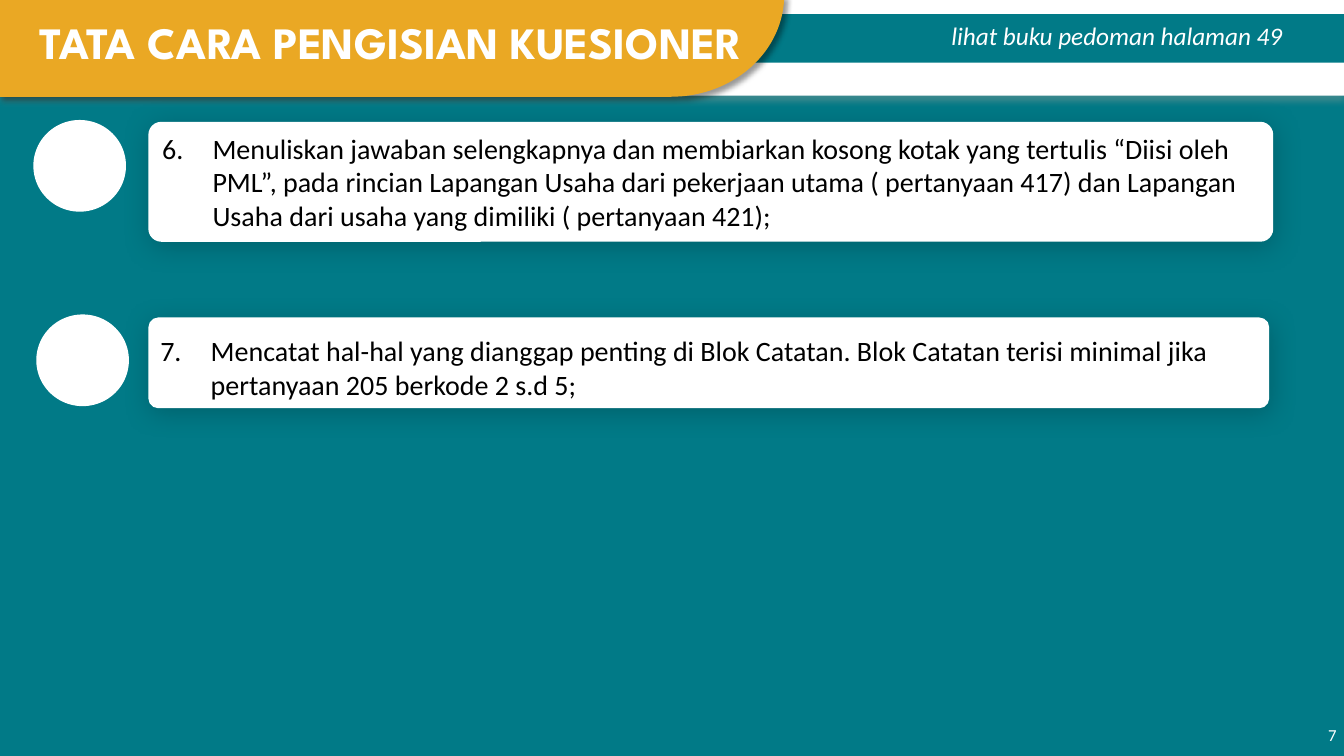
import math
from dataclasses import dataclass
from typing import Optional

from lxml import etree
from pptx import Presentation
from pptx.dml.color import RGBColor
from pptx.enum.shapes import MSO_SHAPE
from pptx.enum.text import MSO_ANCHOR, MSO_AUTO_SIZE, PP_ALIGN
from pptx.oxml.ns import qn
from pptx.util import Pt

RECTANGLE, ROUNDED, OVAL = MSO_SHAPE.RECTANGLE, MSO_SHAPE.ROUNDED_RECTANGLE, MSO_SHAPE.OVAL
TOP, MIDDLE = MSO_ANCHOR.TOP, MSO_ANCHOR.MIDDLE
LEFT, CENTER, RIGHT = PP_ALIGN.LEFT, PP_ALIGN.CENTER, PP_ALIGN.RIGHT
NO_AUTOFIT = MSO_AUTO_SIZE.NONE


@dataclass(frozen=True)
class Theme:
    teal: str = "017A87"
    gold: str = "EAA824"
    white: str = "FFFFFF"
    black: str = "000000"
    grey: str = "969F98"
    body_font: str = "Calibri"
    title_font: str = "League Spartan"
    title_size: float = 32
    body_size: float = 20
    note_size: float = 18
    number_size: float = 12


THEME = Theme()


@dataclass(frozen=True)
class Box:
    """Place and size in points."""
    left: float
    top: float
    width: float
    height: float

    def lengths(self) -> tuple:
        return Pt(self.left), Pt(self.top), Pt(self.width), Pt(self.height)


@dataclass(frozen=True)
class Shadow:
    """Blur and distance in points, opacity in percent, angle in degrees."""
    color: str
    opacity: int
    blur: float
    distance: float
    angle: int


@dataclass(frozen=True)
class Step:
    number: int
    text: str
    card: Box
    text_box: Box
    circle: Box
    anchor: MSO_ANCHOR


HEADER_SHADOW = Shadow(THEME.grey, 40, 5, 3, 90)
TAB_SHADOW = Shadow(THEME.black, 40, 4, 3, 45)
CARD_SHADOW = Shadow(THEME.black, 20, 20, 3, 90)
STEPS = (
    Step(6, "Menuliskan jawaban selengkapnya dan membiarkan kosong kotak yang tertulis “Diisi oleh PML”, "
            "pada rincian Lapangan Usaha dari pekerjaan utama ( pertanyaan 417) dan Lapangan Usaha "
            "dari usaha yang dimiliki ( pertanyaan 421);",
         Box(106, 87, 803.5, 85.7), Box(108.6, 87, 798.5, 85.7), Box(23.8, 85.7, 66.2, 65.5), MIDDLE),
    Step(7, "Mencatat hal-hal yang dianggap penting di Blok Catatan. "
            "Blok Catatan terisi minimal jika pertanyaan 205 berkode 2 s.d 5;",
         Box(106, 226.8, 800.6, 64.8), Box(107.3, 234.7, 798.5, 55.4), Box(25.9, 224.6, 66.2, 65.5), TOP),
)


def paint(shape, color: str, shadow: Optional[Shadow] = None) -> None:
    """Give a shape a plain fill, no outline and, if wanted, an outer shadow."""
    shape.fill.solid()
    shape.fill.fore_color.rgb = RGBColor.from_string(color)
    shape.line.fill.background()
    shape.shadow.inherit = False
    if shadow:
        effects = shape._element.spPr.find(qn("a:effectLst"))
        outer = etree.SubElement(effects, qn("a:outerShdw"), blurRad=str(Pt(shadow.blur)),
                                 dist=str(Pt(shadow.distance)), dir=str(shadow.angle * 60000),
                                 algn="ctr", rotWithShape="0")
        tint = etree.SubElement(outer, qn("a:srgbClr"), val=shadow.color)
        etree.SubElement(tint, qn("a:alpha"), val=str(shadow.opacity * 1000))


def add_block(slide, preset: MSO_SHAPE, box: Box, color: str, shadow: Optional[Shadow] = None):
    shape = slide.shapes.add_shape(preset, *box.lengths())
    paint(shape, color, shadow)
    return shape


def add_title_tab(slide) -> None:
    """Draw the gold tab, whose lower right corner is a quarter ellipse."""
    left, top, center, radius_x, radius_y, steps = -0.72, -3.6, 479.5, 80.7, 72.7, 32
    angles = [math.pi / 2 * step / steps for step in range(steps + 1)]
    curve = [(Pt(center + radius_x * math.cos(angle)), Pt(top + radius_y * math.sin(angle)))
             for angle in angles]
    builder = slide.shapes.build_freeform(Pt(left), Pt(top))
    builder.add_line_segments(curve + [(Pt(left), Pt(top + radius_y))])
    paint(builder.convert_to_shape(), THEME.gold, TAB_SHADOW)


def write(shape, text: str, size: float, color: str, font_name: str = THEME.body_font,
          alignment: PP_ALIGN = LEFT, anchor: MSO_ANCHOR = TOP, wrap: bool = True,
          bold: bool = False, italic: bool = False, number: Optional[int] = None) -> None:
    frame = shape.text_frame
    frame.text = text
    frame.word_wrap = wrap
    frame.auto_size = NO_AUTOFIT
    frame.vertical_anchor = anchor
    paragraph = frame.paragraphs[0]
    paragraph.alignment = alignment
    paragraph.space_before = Pt(0)
    if number is not None:
        properties = paragraph._p.get_or_add_pPr()
        properties.set("marL", str(Pt(36)))
        properties.set("indent", str(Pt(-36)))
        etree.SubElement(properties, qn("a:buFont"), typeface="+mj-lt")
        etree.SubElement(properties, qn("a:buAutoNum"), type="arabicPeriod", startAt=str(number))
    font = paragraph.font
    font.name, font.size, font.bold, font.italic = font_name, Pt(size), bold, italic
    font.color.rgb = RGBColor.from_string(color)


def place_in_front(slide, placeholder, box: Box) -> None:
    placeholder.left, placeholder.top, placeholder.width, placeholder.height = box.lengths()
    slide.shapes._spTree.append(placeholder._element)


def add_step(slide, step: Step, placeholder) -> None:
    add_block(slide, OVAL, step.circle, THEME.white)
    card = add_block(slide, ROUNDED, step.card, THEME.white, CARD_SHADOW)
    card.adjustments[0] = 0.108
    place_in_front(slide, placeholder, step.text_box)
    write(placeholder, step.text, THEME.body_size, THEME.black, anchor=step.anchor, number=step.number)


def main() -> None:
    presentation = Presentation()
    presentation.slide_width, presentation.slide_height = Pt(960), Pt(540)
    slide = presentation.slides.add_slide(presentation.slide_layouts.get_by_name("Two Content"))
    slide.background.fill.solid()
    slide.background.fill.fore_color.rgb = RGBColor.from_string(THEME.teal)
    title, *bodies = slide.placeholders

    add_block(slide, RECTANGLE, Box(0, 0, 960, 68.4), THEME.white, HEADER_SHADOW)
    add_block(slide, RECTANGLE, Box(363.6, 10.1, 596.4, 34.6), THEME.teal)
    add_title_tab(slide)
    place_in_front(slide, title, Box(-0.72, 7.2, 560.2, 46))
    write(title, "TATA CARA PENGISIAN KUESIONER", THEME.title_size, THEME.white,
          THEME.title_font, CENTER, bold=True)

    for step, body in zip(STEPS, bodies):
        add_step(slide, step, body)

    note = slide.shapes.add_textbox(*Box(672.5, 10.8, 253.4, 28.8).lengths())
    write(note, "lihat buku pedoman halaman 49", THEME.note_size, THEME.white, wrap=False, italic=True)
    page_number = slide.shapes.add_textbox(*Box(745.9, 510.5, 216, 28.8).lengths())
    write(page_number, "7", THEME.number_size, THEME.white, alignment=RIGHT, anchor=MIDDLE)

    presentation.save("out.pptx")


if __name__ == "__main__":
    main()
